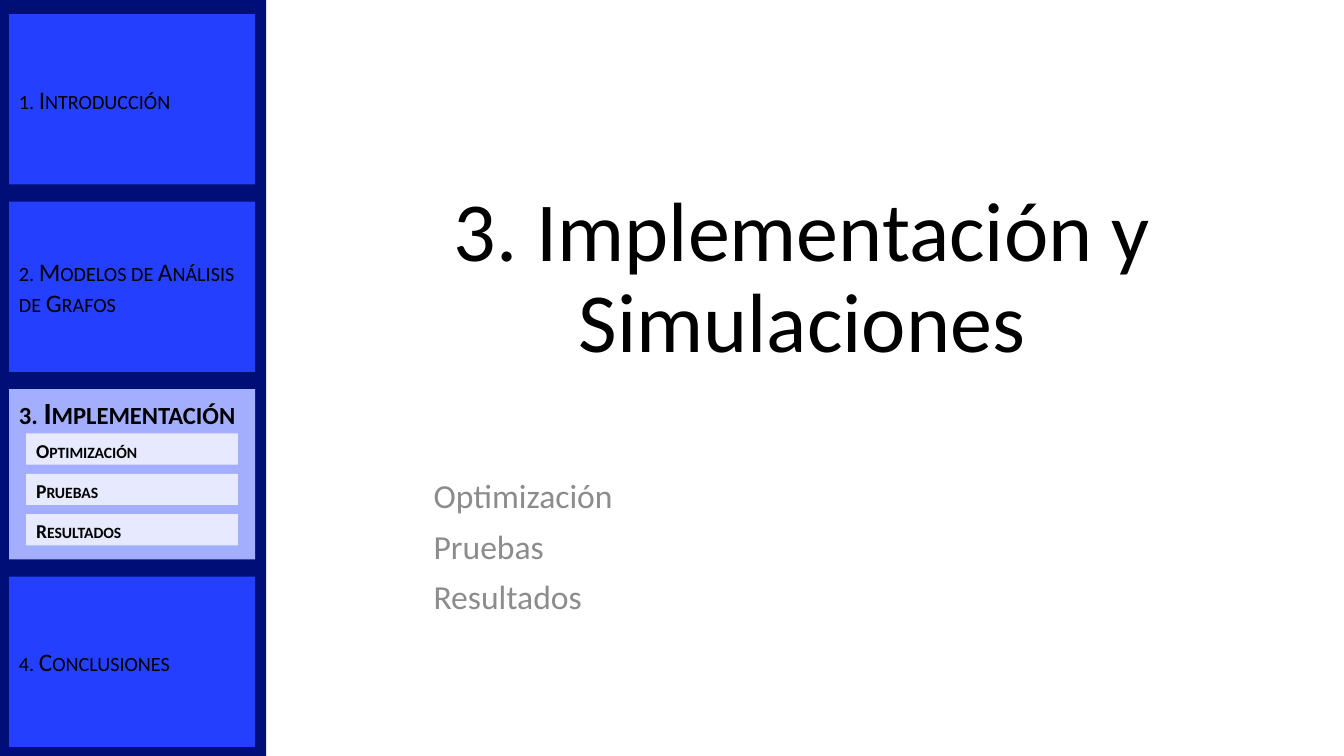
"""Build the section slide for Implementación y Simulaciones with its side menu."""
from pptx import Presentation
from pptx.dml.color import RGBColor as Rgb
from pptx.enum.shapes import MSO_SHAPE as Kind
from pptx.enum.text import MSO_ANCHOR as Anchor, MSO_AUTO_SIZE as Fit, PP_ALIGN as Align
from pptx.util import Inches, Pt

HUES = {"navy": "000E77", "blue": "253FFF", "active": "A3AEFF",
        "pale": "E7EAFF", "black": "000000", "gray": "8C8C8C"}


def write(shape, lines, size, color="black", bold=False, caps=False,
          anchor=Anchor.TOP, align=Align.LEFT, line=1.0, before=0):
    frame = shape.text_frame
    frame.text = "\n".join(lines)
    frame.word_wrap = True
    frame.auto_size = Fit.NONE
    frame.vertical_anchor = anchor
    for para in frame.paragraphs:
        para.alignment = align
        para.line_spacing = line
        para.space_before = Pt(before)
        for run in para.runs:
            font = run.font
            font.name, font.size, font.bold = "Calibri", Pt(size), bold
            font.color.rgb = Rgb.from_string(HUES[color])
            if caps:
                run._r.get_or_add_rPr().set("cap", "small")


def block(left, top, width, height, color):
    shape = slide.shapes.add_shape(
        Kind.RECTANGLE, Inches(left), Inches(top), Inches(width), Inches(height))
    shape.shadow.inherit = False
    shape.fill.solid()
    shape.fill.fore_color.rgb = Rgb.from_string(HUES[color])
    shape.line.fill.background()
    return shape


deck = Presentation()
deck.slide_width, deck.slide_height = Inches(13.33), Inches(7.5)
slide = deck.slides.add_slide(deck.slide_layouts[0])
topics = ["Optimización", "Pruebas", "Resultados"]

title, body = slide.placeholders
title.left, title.top = Inches(3.5), Inches(0.56)
title.width, title.height = Inches(8.91), Inches(4.43)
write(title, ["3. Implementación y Simulaciones"], 60,
      anchor=Anchor.MIDDLE, align=Align.CENTER, line=0.9)
body.left, body.top = Inches(4.2), Inches(4.71)
body.width, body.height = Inches(3.1), Inches(1.64)
write(body, topics, 24, color="gray", line=0.9, before=10)

block(-0.01, 0, 2.65, 7.5, "navy")
menu = ["Introducción", "Modelos de Análisis de Grafos", "Implementación", "Conclusiones"]
for num, name in enumerate(menu, 1):
    active = num == 3
    item = block(0.09, 0.14 + 1.86 * (num - 1), 2.44, 1.69, "active" if active else "blue")
    write(item, [f"{num}. {name}"], 22 if active else 18, bold=active, caps=True,
          anchor=Anchor.TOP if active else Anchor.MIDDLE)

for row, topic in enumerate(topics):
    write(block(0.26, 4.3 + 0.4 * row, 2.1, 0.31, "pale"), [topic], 14, bold=True, caps=True)

deck.save("out.pptx")
